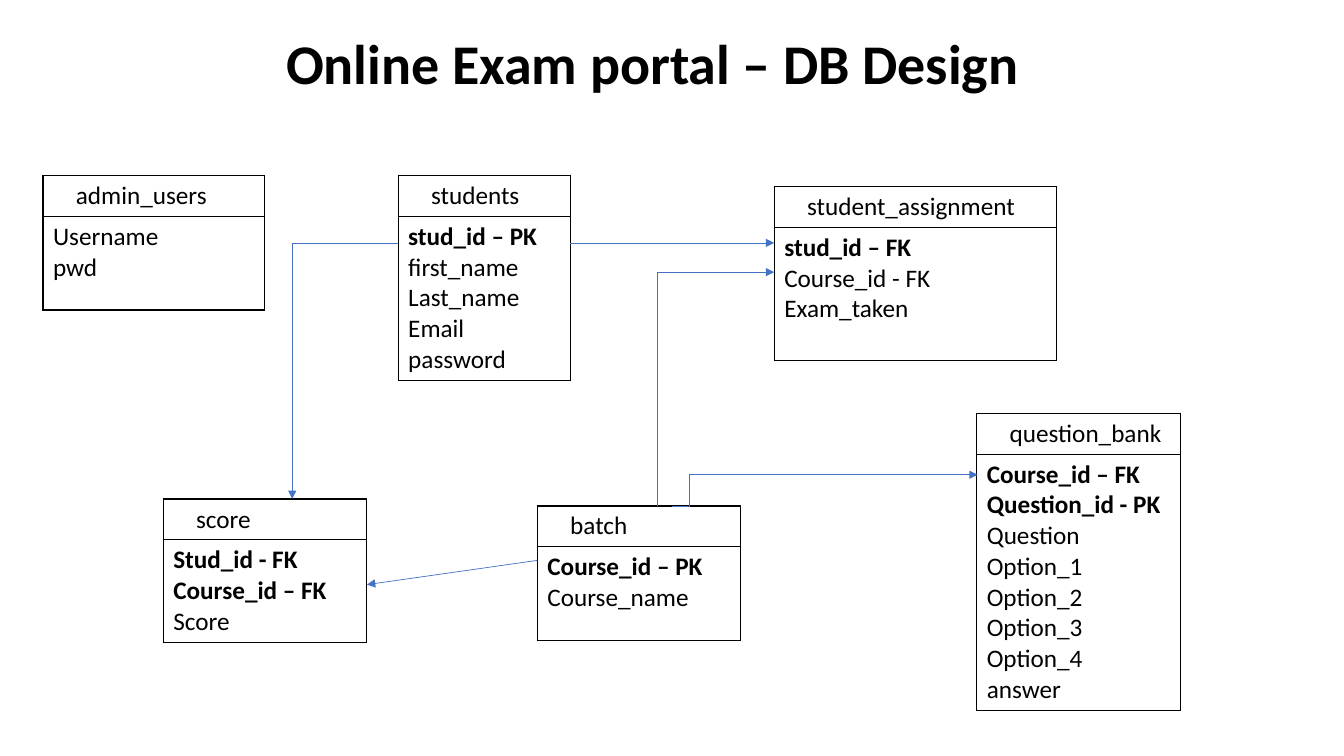
from dataclasses import dataclass
from typing import Optional

from lxml.etree import SubElement
from pptx import Presentation
from pptx.dml.color import RGBColor
from pptx.enum.shapes import MSO_CONNECTOR as Connector
from pptx.oxml.ns import qn
from pptx.slide import Slide
from pptx.table import _Cell as Cell
from pptx.util import Pt

Point = tuple[float, float]


@dataclass(frozen=True)
class Theme:
    font: str = "Calibri"
    ink: str = "000000"
    paper: str = "FFFFFF"
    arrow: str = "4472C4"
    title_size: float = 40
    text_size: float = 18
    border_width: float = 1
    arrow_width: float = 0.5
    header_height: float = 29.2
    header_inset: float = 23.5
    body_inset: float = 7.2


@dataclass(frozen=True)
class Entity:
    name: str
    left: float
    top: float
    width: float
    body_height: float
    columns: tuple[str, ...]
    bold_count: int = 0


@dataclass(frozen=True)
class Relation:
    start: Point
    end: Point
    preset: str = "line"
    bend: Optional[int] = None


THEME = Theme()

ENTITIES = (
    Entity("students", 284.4, 125.3, 123.1, 117,
           ("stud_id – PK", "first_name", "Last_name", "Email", "password"), 1),
    Entity("student_assignment", 553, 133.2, 201.6, 95,
           ("stud_id – FK", "Course_id - FK", "Exam_taken"), 1),
    Entity("admin_users", 30.7, 125.3, 158.4, 67, ("Username", "pwd")),
    Entity("batch", 383.8, 361.4, 145.4, 67, ("Course_id – PK", "Course_name"), 1),
    Entity("question_bank", 697.7, 295.2, 145.4, 183,
           ("Course_id – FK", "Question_id - PK", "Question", "Option_1",
            "Option_2", "Option_3", "Option_4", "answer"), 2),
    Entity("score", 116.6, 356.4, 145.4, 73,
           ("Stud_id - FK", "Course_id – FK", "Score"), 2),
)

RELATIONS = (
    Relation((406.8, 173.5), (553, 173.5)),
    Relation((469.4, 361.4), (553, 194.4), "bentConnector3", 0),
    Relation((480.2, 361.4), (698.4, 339.1), "bentConnector3", 5500),
    Relation((284.4, 173.5), (208.8, 356.4), "bentConnector2"),
    Relation((383.8, 400.3), (262.1, 417.6)),
)


def style_font(paragraph, size: float, bold: bool) -> None:
    """Apply the theme font to a whole paragraph."""
    font = paragraph.font
    font.name, font.size, font.bold = THEME.font, Pt(size), bold
    font.color.rgb = RGBColor.from_string(THEME.ink)


def fill_cell(cell: Cell, lines: tuple[str, ...], bold_count: int, inset: float) -> None:
    """Write the lines into a bordered cell, the first ones in bold."""
    properties = cell._tc.get_or_add_tcPr()
    for side in ("a:lnL", "a:lnR", "a:lnT", "a:lnB"):
        border = SubElement(properties, qn(side), w=str(Pt(THEME.border_width)))
        SubElement(SubElement(border, qn("a:solidFill")), qn("a:srgbClr"), val=THEME.ink)
    cell.fill.solid()
    cell.fill.fore_color.rgb = RGBColor.from_string(THEME.paper)
    cell.margin_left = Pt(inset)
    cell.text = "\n".join(lines)
    for index, paragraph in enumerate(cell.text_frame.paragraphs):
        style_font(paragraph, THEME.text_size, index < bold_count)


def draw_entity(slide: Slide, entity: Entity) -> None:
    """Draw a database table as a header row over its columns."""
    height = THEME.header_height + entity.body_height
    table = slide.shapes.add_table(
        2, 1, Pt(entity.left), Pt(entity.top), Pt(entity.width), Pt(height)).table
    table.first_row = table.horz_banding = False
    table.rows[0].height = Pt(THEME.header_height)
    table.rows[1].height = Pt(entity.body_height)
    fill_cell(table.cell(0, 0), (entity.name,), 0, THEME.header_inset)
    fill_cell(table.cell(1, 0), entity.columns, entity.bold_count, THEME.body_inset)


def draw_relation(slide: Slide, relation: Relation) -> None:
    """Draw an arrow from a key to the column that refers to it."""
    kind = Connector.STRAIGHT if relation.preset == "line" else Connector.ELBOW
    ends = [Pt(value) for value in relation.start + relation.end]
    arrow = slide.shapes.add_connector(kind, *ends)
    arrow.line.color.rgb = RGBColor.from_string(THEME.arrow)
    arrow.line.width = Pt(THEME.arrow_width)
    properties = arrow._element.spPr
    SubElement(properties.find(qn("a:ln")), qn("a:tailEnd"), type="triangle")
    SubElement(properties, qn("a:effectLst"))
    geometry = properties.find(qn("a:prstGeom"))
    geometry.set("prst", relation.preset)
    if relation.bend is not None:
        SubElement(geometry.find(qn("a:avLst")), qn("a:gd"),
                   name="adj1", fmla=f"val {relation.bend}")


def draw_title(slide: Slide, title: str) -> None:
    """Write the slide title."""
    frame = slide.shapes.add_textbox(Pt(197.3), Pt(16.6), Pt(543.6), Pt(55.4)).text_frame
    frame.word_wrap = True
    frame.text = title
    style_font(frame.paragraphs[0], THEME.title_size, True)


def main() -> None:
    """Build the database design slide."""
    deck = Presentation()
    deck.slide_width, deck.slide_height = Pt(960), Pt(540)
    slide = deck.slides.add_slide(deck.slide_layouts[6])
    for entity in ENTITIES:
        draw_entity(slide, entity)
    for relation in RELATIONS:
        draw_relation(slide, relation)
    draw_title(slide, "Online Exam portal – DB Design")
    deck.save("out.pptx")


if __name__ == "__main__":
    main()
